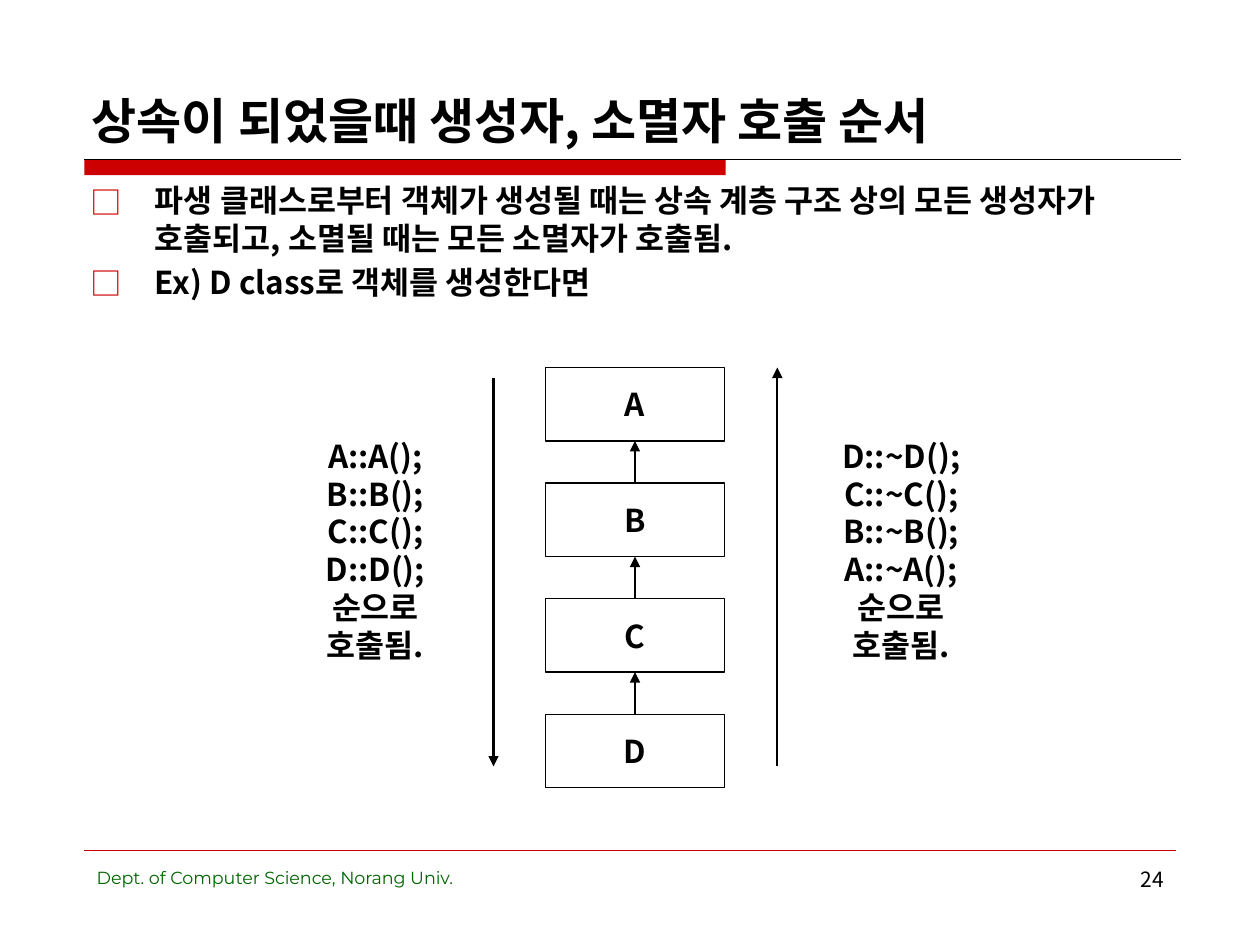
from dataclasses import dataclass

from lxml.etree import SubElement
from pptx import Presentation
from pptx.dml.color import RGBColor
from pptx.enum.shapes import MSO_CONNECTOR, MSO_SHAPE
from pptx.enum.text import MSO_ANCHOR, MSO_AUTO_SIZE, PP_ALIGN
from pptx.oxml.ns import qn
from pptx.util import Cm, Pt


@dataclass(frozen=True)
class Theme:
    """Colours, fonts and type sizes of the slide."""
    red: str = "CC0000"
    green: str = "006600"
    black: str = "000000"
    white: str = "FFFFFF"
    font: str = "Noto Sans CJK KR"
    footer_font: str = "Montserrat"
    title_size: float = 28
    body_size: float = 18
    number_size: float = 12
    footer_size: float = 10


class SlideBuilder:
    """Adds styled elements to one slide; all lengths are centimetres."""

    def __init__(self, slide, theme):
        """Keep the slide and its theme."""
        self.slide = slide
        self.theme = theme

    def fill_text(self, frame, lines, size, color=None, bold=True, font=None,
                  align=PP_ALIGN.LEFT, anchor=MSO_ANCHOR.TOP, wrap=True):
        """Fill a text frame with one paragraph per line."""
        frame.word_wrap = wrap
        frame.auto_size = MSO_AUTO_SIZE.NONE
        frame.vertical_anchor = anchor
        for index, line in enumerate(lines):
            paragraph = frame.add_paragraph() if index else frame.paragraphs[0]
            paragraph.alignment = align
            run = paragraph.add_run()
            run.text = line
            run.font.name = font or self.theme.font
            run.font.size = Pt(size)
            run.font.bold = bold
            run.font.color.rgb = RGBColor.from_string(color or self.theme.black)
            east_asian = SubElement(run._r.get_or_add_rPr(), qn("a:ea"))
            east_asian.set("typeface", font or self.theme.font)

    def place(self, shape, left, top, width, height):
        """Move and size a placeholder."""
        shape.left, shape.top = Cm(left), Cm(top)
        shape.width, shape.height = Cm(width), Cm(height)

    def title(self, text, *box):
        """Fill the title placeholder."""
        shape = self.slide.shapes.title
        self.place(shape, *box)
        self.fill_text(shape.text_frame, [text], self.theme.title_size,
                       anchor=MSO_ANCHOR.BOTTOM)

    def bullets(self, lines, *box, indent=1.3):
        """Fill the body placeholder with a square-bulleted list."""
        shape = self.slide.placeholders[1]
        self.place(shape, *box)
        self.fill_text(shape.text_frame, lines, self.theme.body_size)
        for paragraph in shape.text_frame.paragraphs:
            paragraph.space_before = Pt(self.theme.body_size * 0.2)
            properties = paragraph._p.get_or_add_pPr()
            properties.set("marL", str(Cm(indent)))
            properties.set("indent", str(-Cm(indent)))
            color = SubElement(properties, qn("a:buClr"))
            SubElement(color, qn("a:srgbClr")).set("val", self.theme.red)
            SubElement(properties, qn("a:buFont")).set("typeface", self.theme.font)
            SubElement(properties, qn("a:buChar")).set("char", "□")

    def text(self, lines, left, top, width, height, size, **style):
        """Add a text box."""
        shape = self.slide.shapes.add_textbox(
            Cm(left), Cm(top), Cm(width), Cm(height))
        self.fill_text(shape.text_frame, lines, size, **style)

    def rectangle(self, left, top, width, height, fill, line=None, label=None):
        """Add a rectangle with an optional outline and centred label."""
        shape = self.slide.shapes.add_shape(
            MSO_SHAPE.RECTANGLE, Cm(left), Cm(top), Cm(width), Cm(height))
        shape.shadow.inherit = False
        shape.fill.solid()
        shape.fill.fore_color.rgb = RGBColor.from_string(fill)
        if line:
            shape.line.color.rgb = RGBColor.from_string(line)
            shape.line.width = Pt(0.75)
        else:
            shape.line.fill.background()
        if label:
            self.fill_text(shape.text_frame, [label], self.theme.body_size,
                           align=PP_ALIGN.CENTER, anchor=MSO_ANCHOR.MIDDLE,
                           wrap=False)

    def line(self, start, end, color, width, arrow=False):
        """Add a straight line, with an arrowhead at its end if asked."""
        connector = self.slide.shapes.add_connector(
            MSO_CONNECTOR.STRAIGHT, *map(Cm, (*start, *end)))
        connector.line.color.rgb = RGBColor.from_string(color)
        connector.line.width = Pt(width)
        properties = connector._element.spPr
        if arrow:
            outline = properties.find(qn("a:ln"))
            SubElement(outline, qn("a:tailEnd")).set("type", "triangle")
        SubElement(properties, qn("a:effectLst"))

    def arrow(self, start, end):
        """Add a black arrow."""
        self.line(start, end, self.theme.black, 1.25, arrow=True)


def add_frame(builder):
    """Draw the rules, the footer and the page number."""
    theme = builder.theme
    builder.rectangle(1.7, 3.22, 12.93, 0.31, theme.red)
    builder.line((1.7, 3.22), (23.8, 3.22), theme.black, 0.75)
    builder.line((1.7, 17.14), (23.7, 17.14), theme.red, 0.25)
    builder.text(["Dept. of Computer Science, Norang Univ."], 1.7, 17.35, 10.2, 1.32,
                 theme.footer_size, color=theme.green, bold=False,
                 font=theme.footer_font)
    builder.text(["24"], 18.2, 17.35, 5.52, 1.32, theme.number_size,
                 bold=False, align=PP_ALIGN.RIGHT)


def add_hierarchy(builder, names):
    """Stack the classes and point each one to its base class."""
    theme = builder.theme
    left, top, width, height, pitch = 11, 7.41, 3.6, 1.48, 2.33
    center = left + width / 2
    for index, name in enumerate(names):
        box_top = top + index * pitch
        builder.rectangle(left, box_top, width, height, theme.white, theme.black, name)
        if index:
            builder.arrow((center, box_top), (center, box_top - pitch + height))


def add_call_orders(builder, names):
    """List constructor and destructor calls beside their direction arrows."""
    ending = ["순으로", "호출됨."]
    constructors = [f"{name}::{name}();" for name in names]
    destructors = [f"{name}::~{name}();" for name in reversed(names)]
    builder.arrow((9.95, 7.62), (9.95, 15.45))
    builder.arrow((15.67, 15.45), (15.67, 7.41))
    for calls, left, width in ((constructors, 6.27, 2.6), (destructors, 16.67, 3)):
        builder.text(calls + ending, left, 8.68, width, 4.83,
                     builder.theme.body_size, align=PP_ALIGN.CENTER, wrap=False)


def main():
    """Build and save the presentation."""
    presentation = Presentation()
    presentation.slide_width, presentation.slide_height = Cm(25.4), Cm(19.05)
    slide = presentation.slides.add_slide(presentation.slide_layouts[1])
    builder = SlideBuilder(slide, Theme())
    classes = ["A", "B", "C", "D"]
    add_frame(builder)
    builder.title("상속이 되었을때 생성자, 소멸자 호출 순서", 1.6, 0.85, 22.22, 2.28)
    builder.bullets([
        "파생 클래스로부터 객체가 생성될 때는 상속 계층 구조 상의 모든 생성자가 "
        "호출되고, 소멸될 때는 모든 소멸자가 호출됨.",
        "Ex) D class로 객체를 생성한다면",
    ], 1.57, 3.53, 22.22, 13.2)
    add_hierarchy(builder, classes)
    add_call_orders(builder, classes)
    presentation.save("out.pptx")


main()
